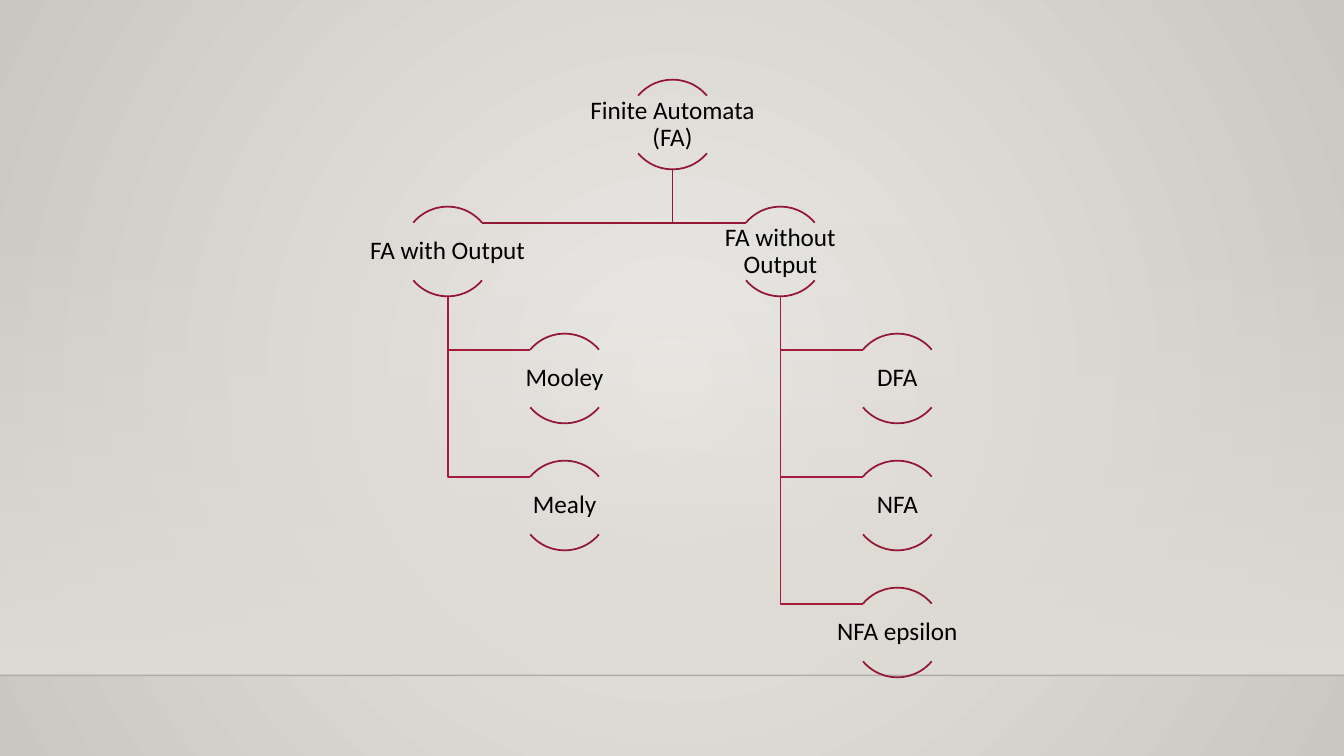
"""Build a slide with a tree of the kinds of finite automata."""
import pptx
import pptx.dml.color
import pptx.enum.shapes
import pptx.enum.text
import pptx.oxml
import pptx.oxml.ns
import pptx.util
from lxml import etree

Inches, Pt = pptx.util.Inches, pptx.util.Pt
RGBColor = pptx.dml.color.RGBColor
qn = pptx.oxml.ns.qn
SHAPE = pptx.enum.shapes.MSO_SHAPE
BLACK = RGBColor(0x00, 0x00, 0x00)
EDGE = RGBColor(0x00, 0x00, 0x01)
WINE = RGBColor(0x93, 0x18, 0x35)
RED = RGBColor(0xA6, 0x1B, 0x3C)
PALE = RGBColor(0xEC, 0xEA, 0xE7)
GRAY = RGBColor(0xCA, 0xC7, 0xC1)
SAND = RGBColor(0xDF, 0xDB, 0xD5)

deck = pptx.Presentation()
deck.slide_width, deck.slide_height = Inches(13.33), Inches(7.5)
slide = deck.slides.add_slide(deck.slide_layouts[6])
shapes = slide.shapes


def add_text(text, x, y, w, h, size=18, font="Calibri", color=BLACK):
    box = shapes.add_textbox(Inches(x), Inches(y), Inches(w), Inches(h))
    frame = box.text_frame
    frame.word_wrap = True
    frame.vertical_anchor = pptx.enum.text.MSO_ANCHOR.MIDDLE
    frame.margin_left = frame.margin_right = Inches(0.01)
    frame.margin_top = frame.margin_bottom = Inches(0.01)
    para = frame.paragraphs[0]
    para.alignment = pptx.enum.text.PP_ALIGN.CENTER
    para.line_spacing = 0.9
    run = para.add_run()
    run.text = text
    run.font.size, run.font.name = Pt(size), font
    run.font.color.rgb = color


def set_alpha(part, value):
    tint = next(part.iter(qn("a:srgbClr")))
    etree.SubElement(tint, qn("a:alpha")).set("val", str(value))


back = slide.background.fill
back.gradient()
for stop, color in zip(back.gradient_stops, (PALE, GRAY)):
    stop.color.rgb = color
grad = next(slide.element.iter(qn("a:gradFill")))
grad.replace(grad.find(qn("a:lin")), pptx.oxml.parse_xml(
    '<a:path xmlns:a="http://schemas.openxmlformats.org/drawingml/2006/main" path="circle">'
    '<a:fillToRect l="50000" t="50000" r="50000" b="50000"/></a:path>'))

wall = shapes.add_shape(SHAPE.RECTANGLE, 0, Inches(2.21), Inches(13.33), Inches(4.49))
wall.shadow.inherit = False
wall.line.fill.background()
wall.fill.gradient()
wall.fill.gradient_angle = 270
for stop in wall.fill.gradient_stops:
    stop.color.rgb = SAND
set_alpha(next(wall.element.iter(qn("a:gs"))), 0)

floor = shapes.add_connector(pptx.enum.shapes.MSO_CONNECTOR.STRAIGHT,
                             0, Inches(6.7), Inches(13.33), Inches(6.7))
floor.line.color.rgb, floor.line.width = EDGE, Pt(1)
set_alpha(floor.element, 20000)
etree.SubElement(floor.element.spPr, qn("a:effectLst"))

TOP, STEP, SIZE = 0.79, 1.26, 0.89
INSET, REACH = 0.16, 0.34
ROOT, LEFT, RIGHT = 6.67, 4.44, 7.74
INDENT = 1.16
nodes = [
    ("Finite Automata (FA)", ROOT, 0, None),
    ("FA with Output", LEFT, 1, ROOT),
    ("Mooley", LEFT + INDENT, 2, LEFT),
    ("Mealy", LEFT + INDENT, 3, LEFT),
    ("FA without Output", RIGHT, 1, ROOT),
    ("DFA", RIGHT + INDENT, 2, RIGHT),
    ("NFA", RIGHT + INDENT, 3, RIGHT),
    ("NFA epsilon", RIGHT + INDENT, 4, RIGHT),
]

for text, x, row, stem in reversed(nodes):
    if stem is None:
        continue
    start = TOP + SIZE + STEP * (0 if stem == ROOT else 1)
    turn = TOP + STEP * row + INSET
    end = x - REACH if x > stem else x + REACH
    pen = shapes.build_freeform(Inches(stem), Inches(start))
    pen.add_line_segments([(Inches(stem), Inches(turn)), (Inches(end), Inches(turn))],
                          close=False)
    link = pen.convert_to_shape()
    link.shadow.inherit = False
    link.fill.background()
    link.line.color.rgb = WINE if stem == ROOT else RED
    link.line.width = Pt(1.25)

for text, x, row, stem in nodes:
    y = TOP + STEP * row
    for angles in ((132, 192), (24, 84)):
        arc = shapes.add_shape(SHAPE.ARC, Inches(x - SIZE / 2), Inches(y),
                               Inches(SIZE), Inches(SIZE))
        arc.adjustments[0], arc.adjustments[1] = angles
        arc.shadow.inherit = False
        arc.fill.background()
        arc.line.color.rgb, arc.line.width = WINE, Pt(1.25)
    add_text(text, x - 0.885, y + INSET, 1.77, 0.57)

deck.save("out.pptx")
